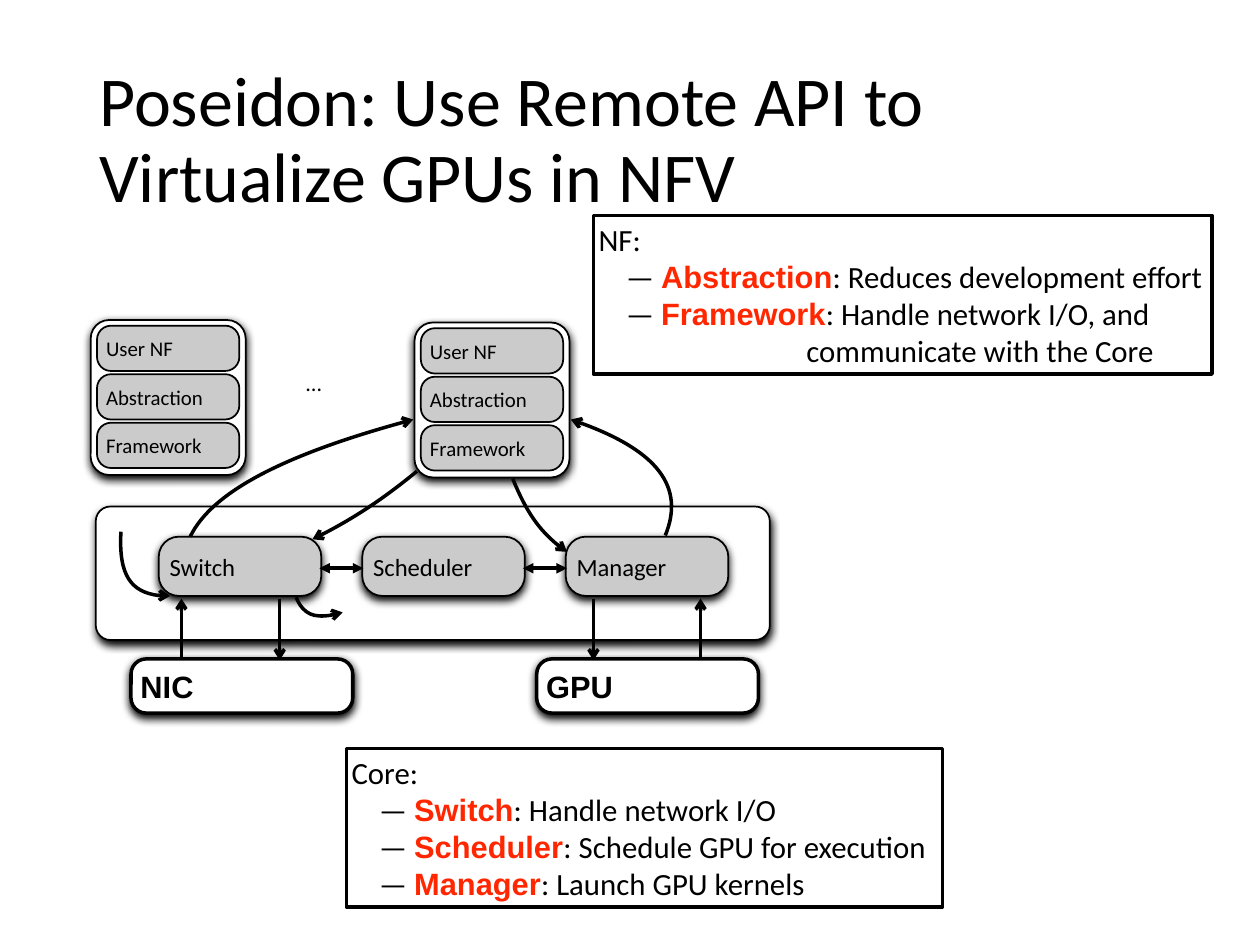
from dataclasses import dataclass

from lxml import etree
from pptx import Presentation
from pptx.dml.color import RGBColor
from pptx.enum.shapes import MSO_CONNECTOR, MSO_SHAPE
from pptx.enum.text import MSO_ANCHOR, PP_ALIGN
from pptx.oxml.ns import qn
from pptx.util import Inches, Pt

ROUNDED = MSO_SHAPE.ROUNDED_RECTANGLE
RECTANGLE = MSO_SHAPE.RECTANGLE
STRAIGHT = MSO_CONNECTOR.STRAIGHT
MIDDLE = MSO_ANCHOR.MIDDLE
LEFT = PP_ALIGN.LEFT
CELL = 0.1
PATH_UNITS = 100


@dataclass(frozen=True)
class Theme:
    """Colours, fonts and sizes of the slide."""

    ink: str = "000000"
    paper: str = "FFFFFF"
    module: str = "CBCBCB"
    accent: str = "FF2600"
    body: str = "Calibri"
    strong: str = "Arial"
    title_size: float = 40
    note_size: float = 17.6
    module_size: float = 14.1
    ellipsis_size: float = 12.7
    layer_size: float = 11.9
    thin: float = 1
    thick: float = 2


@dataclass(frozen=True)
class Box:
    """A rectangle measured in grid columns and rows."""

    left: float
    top: float
    width: float
    height: float

    def inner(self, left, top, width, height):
        """Return a box placed relative to this one."""
        return Box(self.left + left, self.top + top, width, height)

    def lengths(self):
        """Return the four lengths for a shape."""
        return [Inches(cells * CELL) for cells in (self.left, self.top, self.width, self.height)]


THEME = Theme()


def add_text(paragraph, text, size, font=THEME.body, color=THEME.ink, bold=False):
    """Add a formatted run to a paragraph."""
    run = paragraph.add_run()
    run.text = text
    run.font.size, run.font.name, run.font.bold = Pt(size), font, bold
    run.font.color.rgb = RGBColor.from_string(color)


def set_frame(frame, inset=0.04):
    """Set wrapping, anchor and insets of a text frame."""
    frame.word_wrap = True
    frame.vertical_anchor = MIDDLE
    frame.margin_left = frame.margin_right = Inches(inset)
    frame.margin_top = frame.margin_bottom = Inches(0.04)
    frame.paragraphs[0].alignment = LEFT
    return frame


def add_shadow(shape):
    """Give a shape a soft shadow below it."""
    effects = shape.element.spPr.find(qn("a:effectLst"))
    shadow = etree.SubElement(effects, qn("a:outerShdw"), blurRad=str(Pt(5)), dist=str(Pt(2)),
                              dir="5400000", rotWithShape="0")
    etree.SubElement(shadow, qn("a:srgbClr"), val=THEME.ink)


def add_panel(slide, box, radius=0.0, fill=None, weight=THEME.thin, shadow=False, text="",
              **text_format):
    """Add an outlined panel with optional rounded corners and label."""
    shape = slide.shapes.add_shape(ROUNDED if radius else RECTANGLE, *box.lengths())
    shape.shadow.inherit = False
    if radius:
        shape.adjustments[0] = radius
    if fill:
        shape.fill.solid()
        shape.fill.fore_color.rgb = RGBColor.from_string(fill)
    else:
        shape.fill.background()
    set_line(shape, weight)
    if shadow:
        add_shadow(shape)
    frame = set_frame(shape.text_frame)
    if text:
        add_text(frame.paragraphs[0], text, **text_format)
    return shape


def set_line(shape, weight, head=None, tail=None):
    """Set line colour, weight and arrowheads."""
    shape.line.color.rgb = RGBColor.from_string(THEME.ink)
    shape.line.width = Pt(weight)
    line = shape.element.spPr.find(qn("a:ln"))
    for tag, kind in (("a:headEnd", head), ("a:tailEnd", tail)):
        if kind:
            etree.SubElement(line, qn(tag), type=kind)


def add_arrow(slide, box, start, end, head=None, tail="arrow"):
    """Add a straight arrow between two points of a box."""
    x1, y1, x2, y2 = [Inches(cells * CELL) for cells in (
        box.left + start[0], box.top + start[1], box.left + end[0], box.top + end[1])]
    connector = slide.shapes.add_connector(STRAIGHT, x1, y1, x2, y2)
    set_line(connector, THEME.thick, head, tail)
    etree.SubElement(connector.element.spPr, qn("a:effectLst"))


def add_curve(slide, box, *points):
    """Add a cubic arrow from its start, two control points and end."""
    units = [(round((box.left + x) * PATH_UNITS), round((box.top + y) * PATH_UNITS))
             for x, y in points]
    builder = slide.shapes.build_freeform(*units[0], scale=Inches(CELL) / PATH_UNITS)
    builder.add_line_segments([units[-1]], close=False)
    shape = builder.convert_to_shape()
    shape.shadow.inherit = False
    shape.fill.background()
    set_line(shape, THEME.thick, tail="arrow")
    left = min(units[0][0], units[-1][0])
    top = min(units[0][1], units[-1][1])
    segment = next(shape.element.iter(qn("a:lnTo")))
    curve = etree.Element(qn("a:cubicBezTo"))
    for x, y in units[1:]:
        etree.SubElement(curve, qn("a:pt"), x=str(x - left), y=str(y - top))
    segment.getparent().replace(segment, curve)


def add_label(slide, box, text, size, inset=0.04, spacing=1.0):
    """Add a plain text box."""
    frame = set_frame(slide.shapes.add_textbox(*box.lengths()).text_frame, inset)
    frame.paragraphs[0].line_spacing = spacing
    add_text(frame.paragraphs[0], text, size)


def add_function_stack(slide, box):
    """Place one network function with its three layers."""
    add_panel(slide, box, 0.12, THEME.paper, shadow=True)
    for row, name in enumerate(("User NF", "Abstraction", "Framework")):
        add_panel(slide, box.inner(0.5, 0.45 + 3.85 * row, 11.3, 3.6), 0.31, THEME.module,
                  text=name, size=THEME.layer_size)


def add_core(slide, box):
    """Place the core panel with its modules and the links between them."""
    add_panel(slide, box, 0.11, THEME.paper, shadow=True)
    for column, name in enumerate(("Switch", "Scheduler", "Manager")):
        left = 5 + 16.15 * column
        add_panel(slide, box.inner(left, 2.4, 12.9, 4.7), 0.34, THEME.module, shadow=True,
                  text=name, size=THEME.module_size)
        if column:
            add_arrow(slide, box, (left - 3.4, 4.9), (left + 0.1, 4.9), "triangle", "triangle")


def add_device(slide, box, name):
    """Place one hardware device."""
    add_panel(slide, box, 0.28, THEME.paper, THEME.thick, True,
              text=name, size=THEME.note_size, font=THEME.strong, bold=True)


def add_diagram(slide, box):
    """Place functions, core, devices and the flows between them."""
    add_function_stack(slide, box.inner(0.2, 0.4, 12.3, 12.3))
    add_label(slide, box.inner(16.9, 2.7, 4.7, 5.3), "…", THEME.ellipsis_size)
    add_core(slide, box.inner(0.6, 15.2, 53.5, 10.6))
    add_function_stack(slide, box.inner(25.9, 0.6, 12.3, 12.3))
    for left, name in ((3.4, "NIC"), (35.6, "GPU")):
        add_device(slide, box.inner(left, 27.3, 17.6, 4.3), name)
    for column, start, end in ((7.4, 27.3, 22.5), (15.2, 22.5, 27.4),
                               (40.1, 22.5, 27.4), (48.6, 27.3, 22.5)):
        add_arrow(slide, box, (column, start), (column, end))
    for points in (
        ((8.1, 17.6), (9.8, 14.1), (15.7, 11), (25.8, 8.3)),
        ((26.1, 12.4), (23.3, 14.7), (20.5, 16.5), (17.8, 17.8)),
        ((33.7, 13), (34.8, 15.7), (36.2, 17.6), (38, 18.8)),
        ((45.8, 17.5), (47.4, 13.6), (44.9, 10.5), (38.3, 8.3)),
        ((2.6, 17.2), (2.4, 20.7), (3.7, 22.4), (6.5, 22.3)),
        ((16.5, 22.4), (17.1, 23.8), (18.3, 24.2), (20.2, 23.6)),
    ):
        add_curve(slide, box, *points)


def add_note(slide, box, heading, entries):
    """Place a framed note with a heading and explained terms."""
    frame = add_panel(slide, box, weight=THEME.thick).text_frame
    frame.margin_right = 0
    add_text(frame.paragraphs[0], heading, THEME.note_size)
    for term, meaning in entries:
        paragraph = frame.add_paragraph()
        paragraph.alignment = LEFT
        indent = 0.22 if term else 1.65
        paragraph._p.get_or_add_pPr().set("marL", str(Inches(indent)))
        if term:
            add_text(paragraph, "— ", THEME.note_size)
            add_text(paragraph, term, THEME.note_size, THEME.strong, THEME.accent, True)
        add_text(paragraph, meaning, THEME.note_size)


def main():
    """Build and save the slide."""
    presentation = Presentation()
    presentation.slide_width, presentation.slide_height = Inches(10), Inches(7.5)
    slide = presentation.slides.add_slide(presentation.slide_layouts[6])
    add_label(slide, Box(6.9, 4, 86.2, 14.5), "Poseidon: Use Remote API to Virtualize GPUs in NFV",
              THEME.title_size, inset=0.1, spacing=0.9)
    add_diagram(slide, Box(7, 25, 54.1, 31.6))
    add_note(slide, Box(27.5, 59.4, 47.3, 12.6), "Core:", (
        ("Switch", ": Handle network I/O"),
        ("Scheduler", ": Schedule GPU for execution"),
        ("Manager", ": Launch GPU kernels")))
    add_note(slide, Box(47.1, 17.1, 49.1, 12.6), "NF:", (
        ("Abstraction", ": Reduces development effort"),
        ("Framework", ": Handle network I/O, and"),
        ("", "communicate with the Core")))
    presentation.save("out.pptx")


if __name__ == "__main__":
    main()
